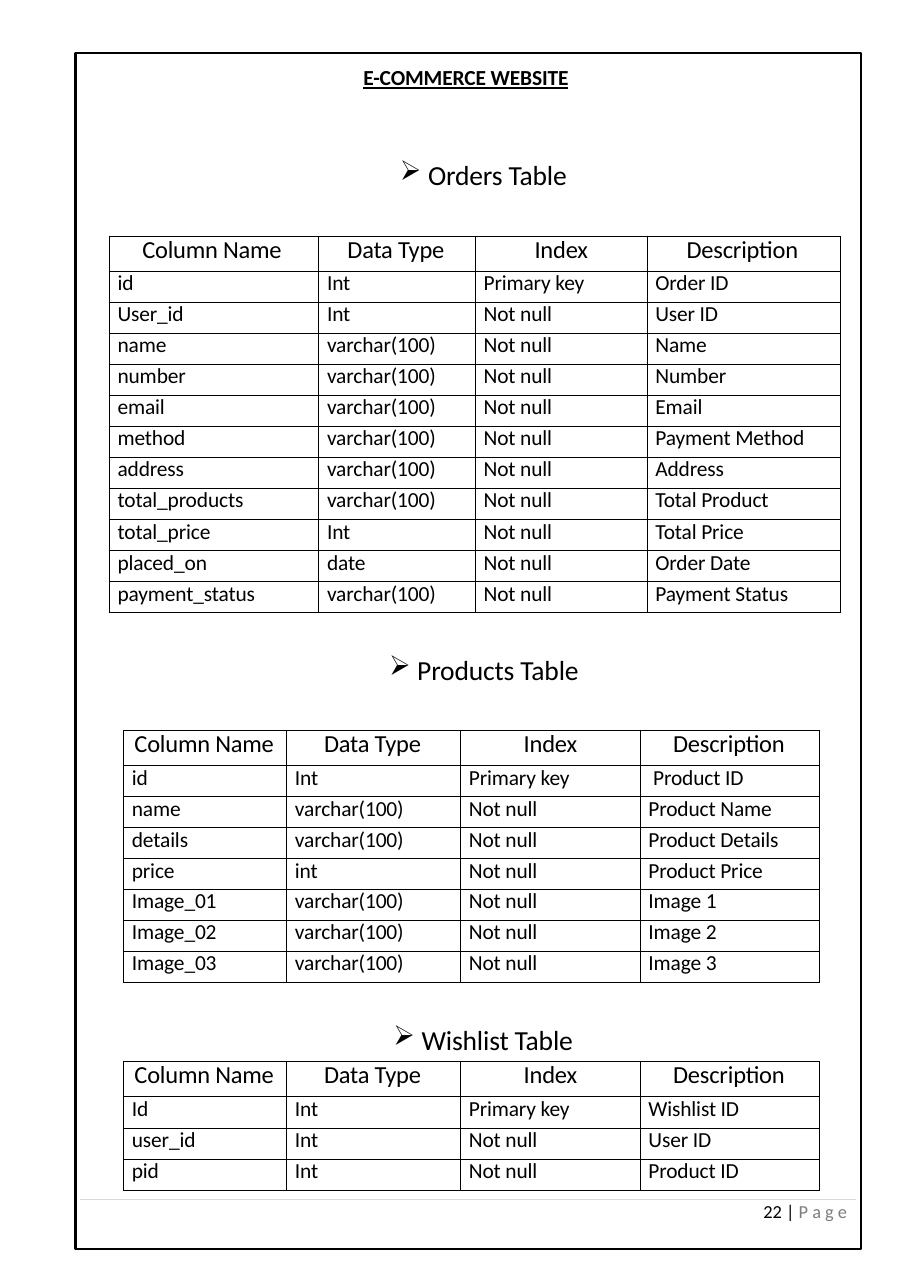
from typing import NamedTuple

from lxml.etree import SubElement
from pptx import Presentation
from pptx.dml.color import RGBColor
from pptx.enum.shapes import MSO_CONNECTOR as Connector, MSO_SHAPE as Shape
from pptx.enum.text import PP_ALIGN as Align
from pptx.oxml.ns import qn
from pptx.util import Cm, Pt

BLACK = RGBColor(0x00, 0x00, 0x00)
GREY = RGBColor(0x7E, 0x7E, 0x7E)
RULE_GREY = RGBColor(0xD9, 0xD9, 0xD9)
FONT = "Calibri"
HEADER_HEIGHT = 0.81
CELL_INDENT = 0.19
BULLET_INDENT = 0.65

HEADERS = ["Column Name", "Data Type", "Index", "Description"]
PRIMARY, REQUIRED, TEXT = "Primary key", "Not null", "varchar(100)"

ORDERS = [
    ("id", "Int", PRIMARY, "Order ID"),
    ("User_id", "Int", REQUIRED, "User ID"),
    ("name", TEXT, REQUIRED, "Name"),
    ("number", TEXT, REQUIRED, "Number"),
    ("email", TEXT, REQUIRED, "Email"),
    ("method", TEXT, REQUIRED, "Payment Method"),
    ("address", TEXT, REQUIRED, "Address"),
    ("total_products", TEXT, REQUIRED, "Total Product"),
    ("total_price", "Int", REQUIRED, "Total Price"),
    ("placed_on", "date", REQUIRED, "Order Date"),
    ("payment_status", TEXT, REQUIRED, "Payment Status"),
]
PRODUCTS = [
    ("id", "Int", PRIMARY, "Product ID"),
    ("name", TEXT, REQUIRED, "Product Name"),
    ("details", TEXT, REQUIRED, "Product Details"),
    ("price", "int", REQUIRED, "Product Price"),
    ("Image_01", TEXT, REQUIRED, "Image 1"),
    ("Image_02", TEXT, REQUIRED, "Image 2"),
    ("Image_03", TEXT, REQUIRED, "Image 3"),
]
WISHLIST = [
    ("Id", "Int", PRIMARY, "Wishlist ID"),
    ("user_id", "Int", REQUIRED, "User ID"),
    ("pid", "Int", REQUIRED, "Product ID"),
]


class Box(NamedTuple):
    """A region in centimetres."""
    left: float
    top: float
    width: float
    height: float

    def lengths(self):
        return [Cm(value) for value in self]


class Columns(NamedTuple):
    """Column widths and header indents in centimetres; no indent means centred."""
    widths: list
    indents: list


WIDE = Columns([4.83, 3.61, 3.96, 4.45], [0.76, 0.66, None, 0.91])
NARROW = Columns([3.76, 4.01, 4.14, 4.14], [0.25, 0.86, None, 0.76])


def add_span(para, text, size=14, color=BLACK, bold=False, underline=False, spacing=-10):
    """Add a run; spacing is in hundredths of a point."""
    span = para.add_run()
    span.text = text
    font = span.font
    font.name, font.size, font.bold, font.underline = FONT, Pt(size), bold, underline
    font.color.rgb = color
    font._element.set("spc", str(spacing))


def add_text_box(page, box, top_inset=0.06):
    """Add an empty text box and give back its first paragraph."""
    frame = page.shapes.add_textbox(*box.lengths()).text_frame
    frame.word_wrap = True
    frame.margin_left = frame.margin_right = frame.margin_bottom = 0
    frame.margin_top = Cm(top_inset)
    return frame.paragraphs[0]


def add_bullet(para):
    properties = para._p.get_or_add_pPr()
    properties.set("marL", str(Cm(BULLET_INDENT)))
    properties.set("indent", str(-Cm(BULLET_INDENT)))
    SubElement(properties, qn("a:buChar"), char="➢")
    tabs = SubElement(properties, qn("a:tabLst"))
    SubElement(tabs, qn("a:tab"), pos=str(Cm(BULLET_INDENT)), algn="l")


def add_borders(cell):
    properties = cell._tc.get_or_add_tcPr()
    for side in ("a:lnL", "a:lnR", "a:lnT", "a:lnB"):
        line = SubElement(properties, qn(side), w=str(Pt(0.5)))
        fill = SubElement(line, qn("a:solidFill"))
        SubElement(fill, qn("a:srgbClr"), val=str(BLACK))


def fill_cell(cell, text, indent=CELL_INDENT, size=14, line=16.4):
    add_borders(cell)
    cell.fill.background()
    cell.margin_left = Cm(indent or 0)
    cell.margin_right = cell.margin_top = cell.margin_bottom = 0
    para = cell.text_frame.paragraphs[0]
    para.alignment = Align.CENTER if indent is None else Align.LEFT
    para.line_spacing = Pt(line)
    add_span(para, text, size=size)


def add_schema(page, box, columns, records):
    table = page.shapes.add_table(len(records) + 1, len(HEADERS), *box.lengths()).table
    table.first_row = table.horz_banding = False
    for column, width in zip(table.columns, columns.widths):
        column.width = Cm(width)
    row_height = (box.height - HEADER_HEIGHT) / len(records)
    for index, row in enumerate(table.rows):
        row.height = Cm(row_height if index else HEADER_HEIGHT)
    for cell, text, indent in zip(table.rows[0].cells, HEADERS, columns.indents):
        fill_cell(cell, text, indent, size=16, line=18.8)
    for row, record in zip(list(table.rows)[1:], records):
        for cell, text in zip(row.cells, record):
            indented = text == "Product ID" and PRIMARY in record
            fill_cell(cell, text, 0.3 if indented else CELL_INDENT)


def add_section(page, box, title, title_box, columns, records):
    """Place a schema in the box, and its title relative to the box."""
    left, top, width, height = title_box
    para = add_text_box(page, Box(box.left + left, box.top + top, width, height))
    add_bullet(para)
    add_span(para, title, size=18)
    add_schema(page, box, columns, records)


def add_page_frame(page, box):
    border = page.shapes.add_shape(Shape.RECTANGLE, *box.lengths())
    border.shadow.inherit = False
    border.fill.background()
    border.line.color.rgb = BLACK
    border.line.width = Pt(1.5)
    title = add_text_box(page, Box(box.left + 6.64, box.top + 0.2, 4.85, 0.66))
    add_span(title, "E-COMMERCE WEBSITE", bold=True, underline=True)


def add_footer(page, box):
    left, top = Cm(box.left), Cm(box.top)
    rule = page.shapes.add_connector(
        Connector.STRAIGHT, left, top, left + Cm(box.width), top)
    rule.line.color.rgb = RULE_GREY
    rule.line.width = Pt(0.5)
    SubElement(rule._element.spPr, qn("a:effectLst"))
    number_box = Box(box.left + box.width - 2.13, box.top + 0.09, 2.05, box.height)
    number = add_text_box(page, number_box, top_inset=0)
    number.line_spacing = Pt(12.4)
    add_span(number, "22 | ", size=12, spacing=0)
    add_span(number, "P a g e", size=12, color=GREY, spacing=0)


def main():
    deck = Presentation()
    deck.slide_width, deck.slide_height = Cm(20.98), Cm(29.69)
    page = deck.slides.add_slide(deck.slide_layouts[6])
    add_page_frame(page, Box(1.74, 1.22, 18.12, 27.57))
    add_footer(page, Box(1.85, 27.65, 17.88, 0.48))
    add_section(page, Box(2.52, 5.44, 16.85, 8.69), "Orders Table",
                Box(6.7, -1.86, 3.96, 0.84), WIDE, ORDERS)
    add_section(page, Box(2.85, 16.84, 16.05, 5.81), "Products Table",
                Box(6.12, -1.85, 4.47, 0.84), NARROW, PRODUCTS)
    add_section(page, Box(2.85, 24.47, 16.05, 2.97), "Wishlist Table",
                Box(6.22, -0.95, 4.24, 0.84), NARROW, WISHLIST)
    deck.save("out.pptx")


if __name__ == "__main__":
    main()
